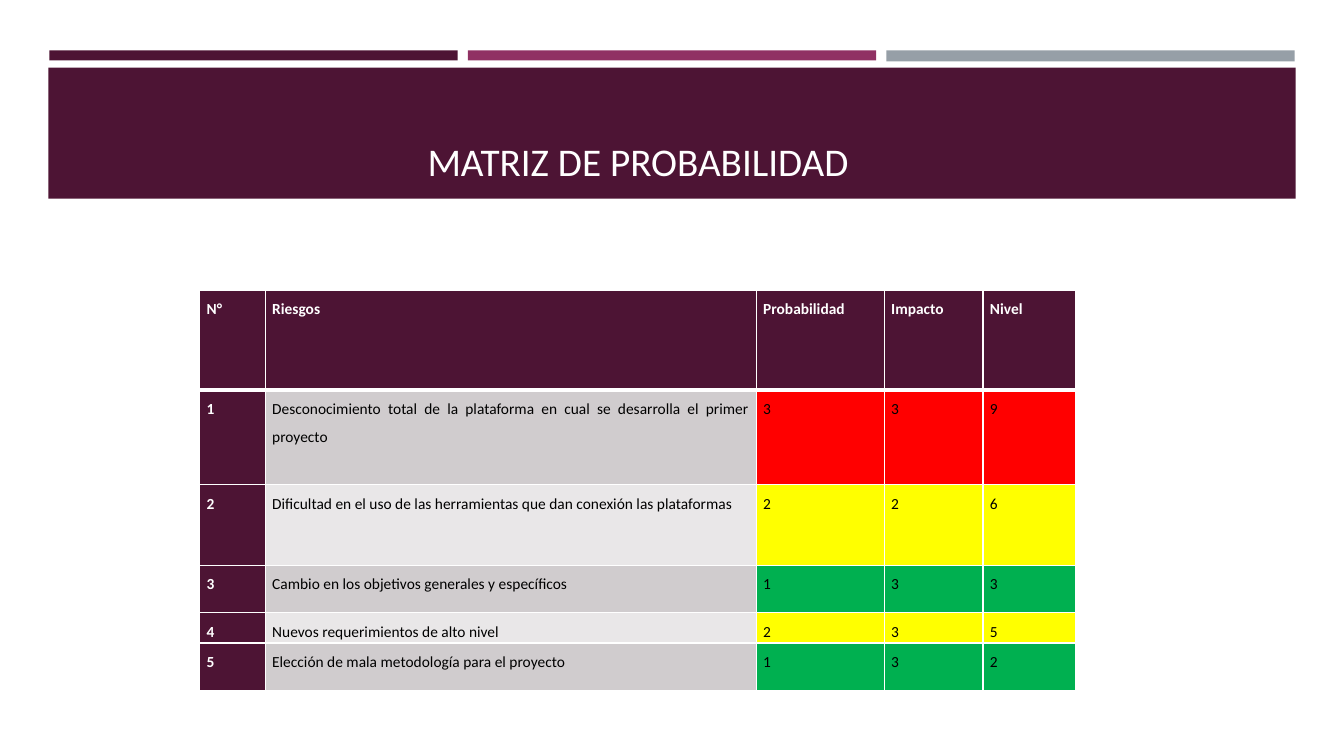
from lxml import etree
from pptx import Presentation, util as u
from pptx.dml.color import RGBColor
from pptx.enum import shapes, text
from pptx.oxml import ns

WINE, WHITE, BLACK = "4D1434", "FFFFFF", "000000"
RED, YELLOW, GREEN = "FF0000", "FFFF00", "00B050"


def paint(fill, color):
    fill.solid()
    fill.fore_color.rgb = RGBColor.from_string(color)


def border(cell, side, width):
    line = etree.SubElement(cell._tc.get_or_add_tcPr(), ns.qn("a:" + side), w=str(u.Pt(width)))
    solid = etree.SubElement(line, ns.qn("a:solidFill"))
    etree.SubElement(solid, ns.qn("a:srgbClr"), val=WHITE)


deck = Presentation()
deck.slide_width, deck.slide_height = u.Inches(13.33), u.Inches(7.5)
slide = deck.slides.add_slide(deck.slide_layouts[5])

bars = [
    (0.49, 0.5, 4.05, 0.1, WINE),
    (4.64, 0.5, 4.05, 0.1, "903163"),
    (8.79, 0.5, 4.05, 0.11, "969FA7"),
    (0.48, 0.67, 12.37, 1.3, WINE),
]
for *place, color in bars:
    bar = slide.shapes.add_shape(shapes.MSO_SHAPE.RECTANGLE, *map(u.Inches, place))
    bar.shadow.inherit = False
    paint(bar.fill, color)
    bar.line.fill.background()

title = slide.shapes.title
slide.shapes.element.append(title.element)
spots = {"left": 0.64, "top": 0.77, "width": 12.06, "height": 1.11}
for name, value in spots.items():
    setattr(title, name, u.Inches(value))
frame = title.text_frame
frame.text = "MATRIZ DE PROBABILIDAD"
looks = {
    "auto_size": text.MSO_AUTO_SIZE.NONE,
    "vertical_anchor": text.MSO_ANCHOR.BOTTOM,
    "margin_left": u.Inches(3.6),
    "word_wrap": True,
}
for name, value in looks.items():
    setattr(frame, name, value)
head = frame.paragraphs[0]
head.alignment = text.PP_ALIGN.LEFT
head.font.name, head.font.size = "Calibri", u.Pt(28)
head.font.color.rgb = RGBColor.from_string(WHITE)

rows = [
    (0.99, WINE, ("N°", "Riesgos", "Probabilidad", "Impacto", "Nivel")),
    (0.94, RED, ("1", "Desconocimiento total de la plataforma en cual se desarrolla el primer proyecto", "3", "3", "9")),
    (0.8, YELLOW, ("2", "Dificultad en el uso de las herramientas que dan conexión las plataformas", "2", "2", "6")),
    (0.47, GREEN, ("3", "Cambio en los objetivos generales y específicos", "1", "3", "3")),
    (0.3, YELLOW, ("4", "Nuevos requerimientos de alto nivel", "2", "3", "5")),
    (0.47, GREEN, ("5", "Elección de mala metodología para el proyecto", "1", "3", "2")),
]
widths = [0.65, 4.87, 1.27, 0.98, 0.92]
place = map(u.Inches, (1.98, 2.88, 8.69, 3.97))
table = slide.shapes.add_table(len(rows), len(widths), *place).table
table.horz_banding = False
for col, width in zip(table.columns, widths):
    col.width = u.Inches(width)

insets = {"margin_left": 0.07, "margin_right": 0.07, "margin_top": 0, "margin_bottom": 0}
for r, (height, level, words) in enumerate(rows):
    table.rows[r].height = u.Inches(height)
    for c, word in enumerate(words):
        cell = table.cell(r, c)
        for name, value in insets.items():
            setattr(cell, name, u.Inches(value))
        dark = r == 0 or c == 0
        band = "D0CCCE" if r % 2 else "E9E7E8"
        sides = {"lnL": 1, "lnR": 1, "lnT": 3 if r == 1 else 1, "lnB": 1 if r else 3}
        for side, width in sides.items():
            border(cell, side, width)
        paint(cell.fill, WINE if dark else band if c == 1 else level)
        cell.text = word
        para = cell.text_frame.paragraphs[0]
        para.alignment, para.line_spacing = text.PP_ALIGN.JUSTIFY, 1.5
        style = {"name": "Calibri", "size": u.Pt(11), "bold": dark}
        for name, value in style.items():
            setattr(para.font, name, value)
        para.font.color.rgb = RGBColor.from_string(WHITE if dark else BLACK)

deck.save("out.pptx")
